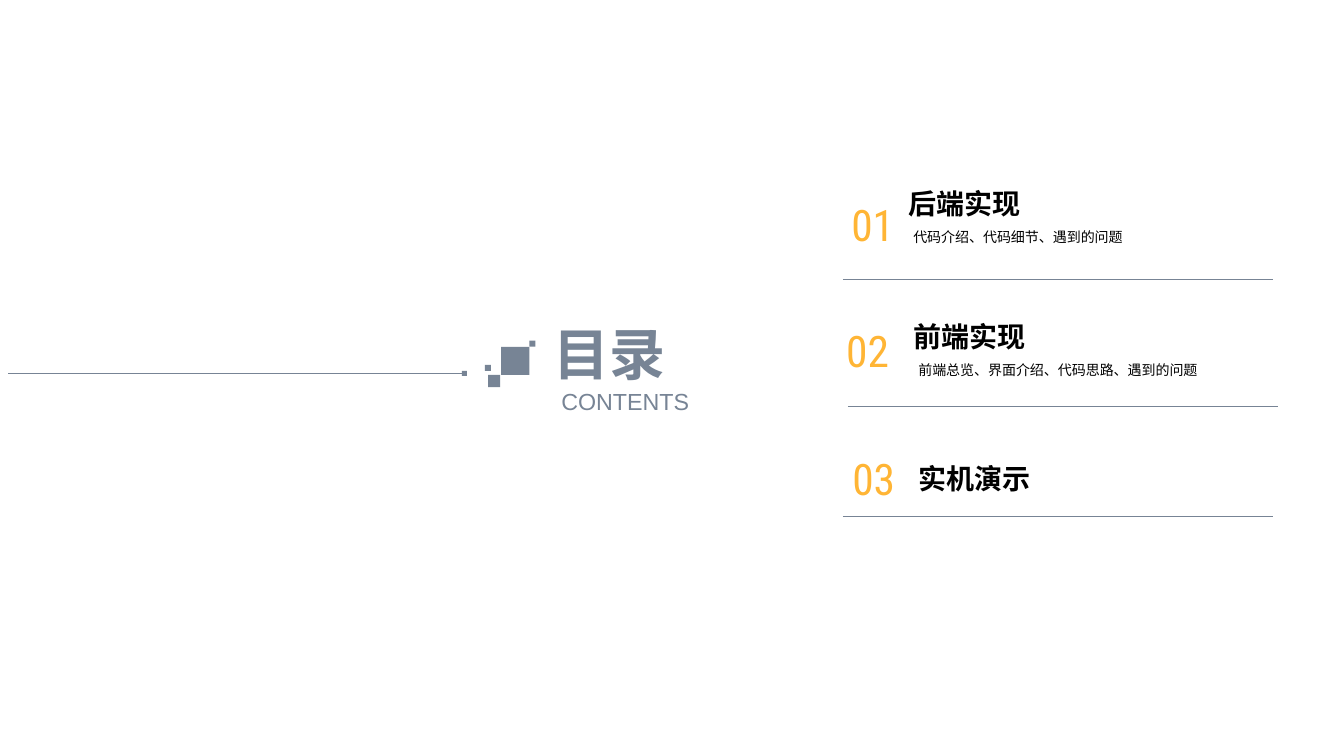
"""Build a contents slide with three numbered sections."""
from dataclasses import dataclass

from lxml import etree
from pptx import Presentation
from pptx.dml.color import RGBColor
from pptx.enum import shapes, text
from pptx.oxml import ns
from pptx.slide import Slide
from pptx.util import Inches, Pt


@dataclass(frozen=True)
class Theme:
    """Colours, fonts and type sizes of the slide."""
    slate: str = "778495"
    amber: str = "FFB535"
    black: str = "000000"
    body_font: str = "Arial"
    number_font: str = "Roboto Condensed"
    heading_size: float = 40
    subheading_size: float = 16.6
    number_size: float = 31
    title_size: float = 20
    detail_size: float = 10
    rule_width: float = 0.5


@dataclass(frozen=True)
class Box:
    """A frame in inches."""
    left: float
    top: float
    width: float
    height: float


@dataclass(frozen=True)
class Label:
    """A line of text and how it is set."""
    wording: str
    box: Box
    size: float
    color: str
    font: str = "Arial"
    bold: bool = False
    align: text.PP_ALIGN = text.PP_ALIGN.LEFT
    anchor: text.MSO_ANCHOR = text.MSO_ANCHOR.TOP
    inset: tuple[float, float] = (0, 0)
    spacing: float = 1.0
    wrap: bool = True


@dataclass(frozen=True)
class Section:
    """A numbered entry with its own offsets in inches."""
    title: str
    detail: str
    number_at: tuple[float, float]
    title_at: tuple[float, float]
    rule_at: tuple[float, float]


THEME = Theme()
TEXT_WIDTH = 3.72
RULE_LENGTH = 4.27
DETAIL_OFFSET = (0.05, 0.38)
TEXT_INSET = (0.1, 0.05)
SQUARES = (
    (4.97, 3.44, 0.28),
    (5.25, 3.38, 0.06),
    (4.84, 3.72, 0.12),
    (4.81, 3.62, 0.06),
    (4.58, 3.68, 0.05),
)
HEADINGS = (
    Label("CONTENTS", Box(5.49, 3.85, 1.42, 0.26), THEME.subheading_size, THEME.slate,
          align=text.PP_ALIGN.CENTER, anchor=text.MSO_ANCHOR.MIDDLE),
    Label("目录", Box(5.49, 3.17, 1.42, 0.67), THEME.heading_size, THEME.slate,
          bold=True, align=text.PP_ALIGN.JUSTIFY),
)
SECTIONS = (
    Section("后端实现", "代码介绍、代码细节、遇到的问题",
            (8.41, 1.96), (8.91, 1.8), (8.36, 2.77)),
    Section("前端实现", "前端总览、界面介绍、代码思路、遇到的问题",
            (8.36, 3.21), (8.96, 3.12), (8.41, 4.03)),
    Section("实机演示", "", (8.42, 4.48), (9.01, 4.53), (8.36, 5.12)),
)


def add_label(slide: Slide, label: Label) -> None:
    """Add a text box holding one paragraph."""
    box = label.box
    shape = slide.shapes.add_textbox(
        Inches(box.left), Inches(box.top), Inches(box.width), Inches(box.height))
    frame = shape.text_frame
    frame.word_wrap = label.wrap
    frame.vertical_anchor = label.anchor
    frame.margin_left = frame.margin_right = Inches(label.inset[0])
    frame.margin_top = frame.margin_bottom = Inches(label.inset[1])
    paragraph = frame.paragraphs[0]
    paragraph.text = label.wording
    paragraph.alignment = label.align
    paragraph.line_spacing = label.spacing
    font = paragraph.font
    font.name = label.font
    font.size = Pt(label.size)
    font.bold = label.bold
    font.color.rgb = RGBColor.from_string(label.color)


def add_square(slide: Slide, left: float, top: float, side: float) -> None:
    """Add a plain slate square."""
    shape = slide.shapes.add_shape(
        shapes.MSO_SHAPE.RECTANGLE, Inches(left), Inches(top), Inches(side), Inches(side))
    shape.shadow.inherit = False
    shape.fill.solid()
    shape.fill.fore_color.rgb = RGBColor.from_string(THEME.slate)
    shape.line.fill.background()


def add_rule(slide: Slide, left: float, top: float, length: float) -> None:
    """Add a thin horizontal line without a shadow."""
    connector = slide.shapes.add_connector(
        shapes.MSO_CONNECTOR.STRAIGHT,
        Inches(left), Inches(top), Inches(left + length), Inches(top))
    connector.line.color.rgb = RGBColor.from_string(THEME.slate)
    connector.line.width = Pt(THEME.rule_width)
    etree.SubElement(connector.element.spPr, ns.qn("a:effectLst"))


def add_section(slide: Slide, number: int, section: Section) -> None:
    """Add the number, title, detail and rule of one section."""
    left, top = section.title_at
    if section.detail:
        across, down = DETAIL_OFFSET
        add_label(slide, Label(
            section.detail, Box(left + across, top + down, TEXT_WIDTH, 0.32),
            THEME.detail_size, THEME.black, THEME.body_font,
            inset=TEXT_INSET, spacing=1.2))
    add_label(slide, Label(
        section.title, Box(left, top, TEXT_WIDTH, 0.45),
        THEME.title_size, THEME.black, THEME.body_font, bold=True, inset=TEXT_INSET))
    add_label(slide, Label(
        f"{number:02}", Box(*section.number_at, 0.49, 0.53),
        THEME.number_size, THEME.amber, THEME.number_font,
        align=text.PP_ALIGN.CENTER, anchor=text.MSO_ANCHOR.MIDDLE, wrap=False))
    add_rule(slide, *section.rule_at, RULE_LENGTH)


def main() -> None:
    """Build and save the presentation."""
    presentation = Presentation()
    presentation.slide_width = Inches(13.33)
    presentation.slide_height = Inches(7.5)
    slide = presentation.slides.add_slide(presentation.slide_layouts[6])
    add_rule(slide, 0.08, 3.7, 4.52)
    for square in SQUARES:
        add_square(slide, *square)
    for heading in HEADINGS:
        add_label(slide, heading)
    for number, section in enumerate(SECTIONS, start=1):
        add_section(slide, number, section)
    presentation.save("out.pptx")


if __name__ == "__main__":
    main()
